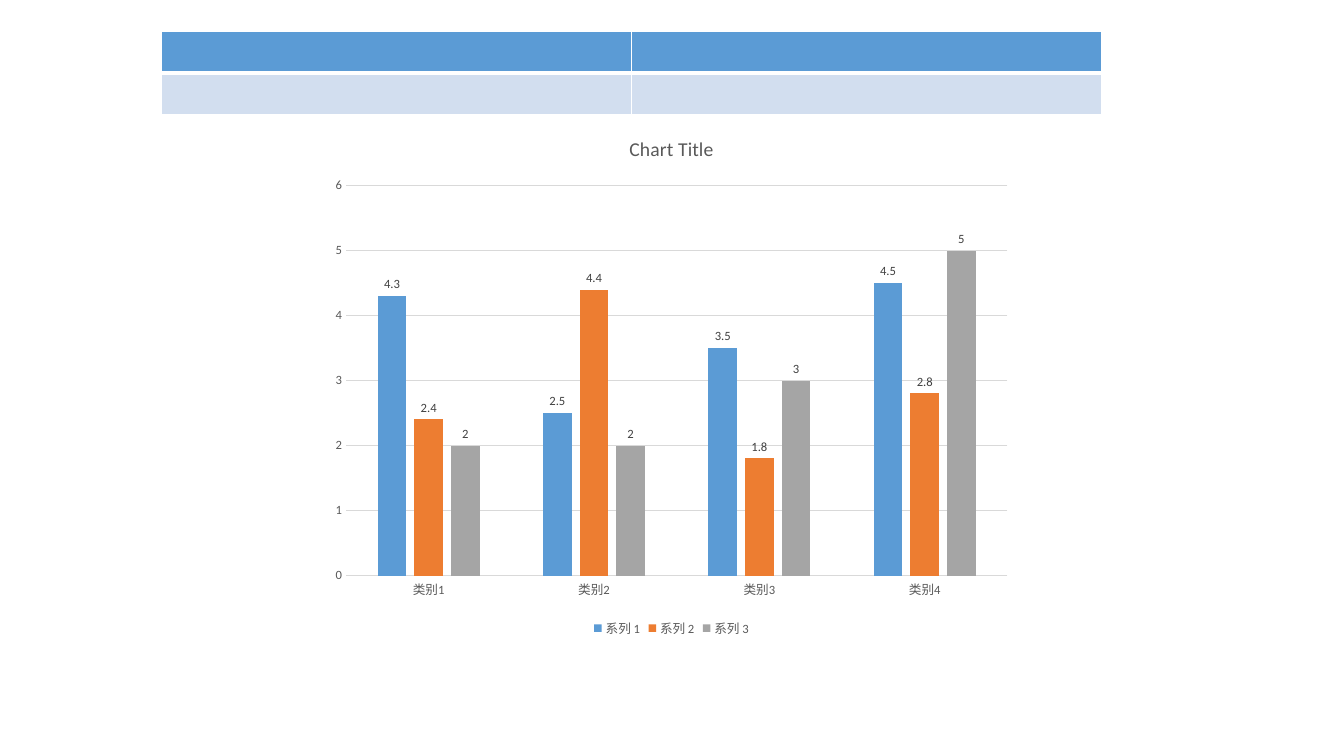
from dataclasses import dataclass

from lxml.etree import SubElement
from pptx import Presentation
from pptx.chart.data import CategoryChartData
from pptx.dml.color import RGBColor
from pptx.enum.chart import XL_CHART_TYPE, XL_LABEL_POSITION, XL_LEGEND_POSITION, XL_TICK_MARK
from pptx.oxml.ns import qn
from pptx.slide import Slide
from pptx.table import _Cell
from pptx.text.text import Font
from pptx.util import Inches, Pt

FONT = "Calibri"
WHITE = "FFFFFF"
GRID_GREY = "D9D9D9"
TEXT_GREY = "595959"
LABEL_GREY = "404040"


@dataclass(frozen=True)
class ColumnSeries:
    name: str
    values: tuple[float, ...]
    color: str


@dataclass(frozen=True)
class TableRow:
    fill: str
    bottom_border: float


CATEGORIES = ("类别1", "类别2", "类别3", "类别4")
SERIES = (
    ColumnSeries("系列 1", (4.3, 2.5, 3.5, 4.5), "5B9BD5"),
    ColumnSeries("系列 2", (2.4, 4.4, 1.8, 2.8), "ED7D31"),
    ColumnSeries("系列 3", (2, 2, 3, 5), "A5A5A5"),
)
ROWS = (TableRow("5B9BD5", 3), TableRow("D2DEEF", 1))
COLUMN_COUNT = 2


def rgb(color: str) -> RGBColor:
    return RGBColor.from_string(color)


def style_font(font: Font, size: float, color: str) -> None:
    font.name = FONT
    font.size = Pt(size)
    font.bold = False
    font.color.rgb = rgb(color)


def add_border(cell: _Cell, side: str, width: float) -> None:
    """Draw one white cell edge; side is L, R, T or B."""
    properties = cell._tc.get_or_add_tcPr()
    line = SubElement(properties, qn(f"a:ln{side}"), w=str(Pt(width)))
    fill = SubElement(line, qn("a:solidFill"))
    SubElement(fill, qn("a:srgbClr"), val=WHITE)


def add_banner_table(slide: Slide) -> None:
    frame = slide.shapes.add_table(
        len(ROWS), COLUMN_COUNT, Inches(1.6), Inches(0.31), Inches(9.33), Inches(0.83)
    )
    table = frame.table
    top_border = 1.0
    for row_index, row in enumerate(ROWS):
        for column_index in range(COLUMN_COUNT):
            cell = table.cell(row_index, column_index)
            widths = {"L": 1, "R": 1, "T": top_border, "B": row.bottom_border}
            for side, width in widths.items():
                add_border(cell, side, width)
            cell.fill.solid()
            cell.fill.fore_color.rgb = rgb(row.fill)
        top_border = row.bottom_border


def add_column_chart(slide: Slide) -> None:
    data = CategoryChartData()
    data.categories = CATEGORIES
    for series in SERIES:
        data.add_series(series.name, series.values)
    frame = slide.shapes.add_chart(
        XL_CHART_TYPE.COLUMN_CLUSTERED,
        Inches(3.19), Inches(1.15), Inches(6.94), Inches(5.21), data,
    )
    chart = frame.chart
    style_font(chart.font, 10, "000000")

    chart.has_title = True
    title = chart.chart_title.text_frame
    title.text = "Chart Title"
    style_font(title.paragraphs[0].runs[0].font, 14, TEXT_GREY)
    chart.chart_title.include_in_layout = False

    chart.has_legend = True
    chart.legend.position = XL_LEGEND_POSITION.BOTTOM
    chart.legend.include_in_layout = False
    style_font(chart.legend.font, 9, TEXT_GREY)

    category_axis, value_axis = chart.category_axis, chart.value_axis
    for axis in (category_axis, value_axis):
        axis.major_tick_mark = XL_TICK_MARK.NONE
        axis.minor_tick_mark = XL_TICK_MARK.NONE
        style_font(axis.tick_labels.font, 9, TEXT_GREY)
    value_axis.minimum_scale = 0
    value_axis.maximum_scale = 6
    value_axis.major_unit = 1
    value_axis.format.line.fill.background()
    value_axis.has_major_gridlines = True
    for line in (category_axis.format.line, value_axis.major_gridlines.format.line):
        line.color.rgb = rgb(GRID_GREY)
        line.width = Pt(0.75)

    plot = chart.plots[0]
    plot.gap_width = 219
    plot.overlap = -27
    plot.vary_by_categories = False
    for column, series in zip(plot.series, SERIES):
        column.format.fill.solid()
        column.format.fill.fore_color.rgb = rgb(series.color)
        column.invert_if_negative = False
        labels = column.data_labels
        labels.show_value = True
        labels.position = XL_LABEL_POSITION.OUTSIDE_END
        style_font(labels.font, 9, LABEL_GREY)


def main() -> None:
    deck = Presentation()
    deck.slide_width = Inches(13.33)
    deck.slide_height = Inches(7.5)
    slide = deck.slides.add_slide(deck.slide_layouts.get_by_name("Blank"))
    add_column_chart(slide)
    add_banner_table(slide)
    deck.save("out.pptx")


if __name__ == "__main__":
    main()
